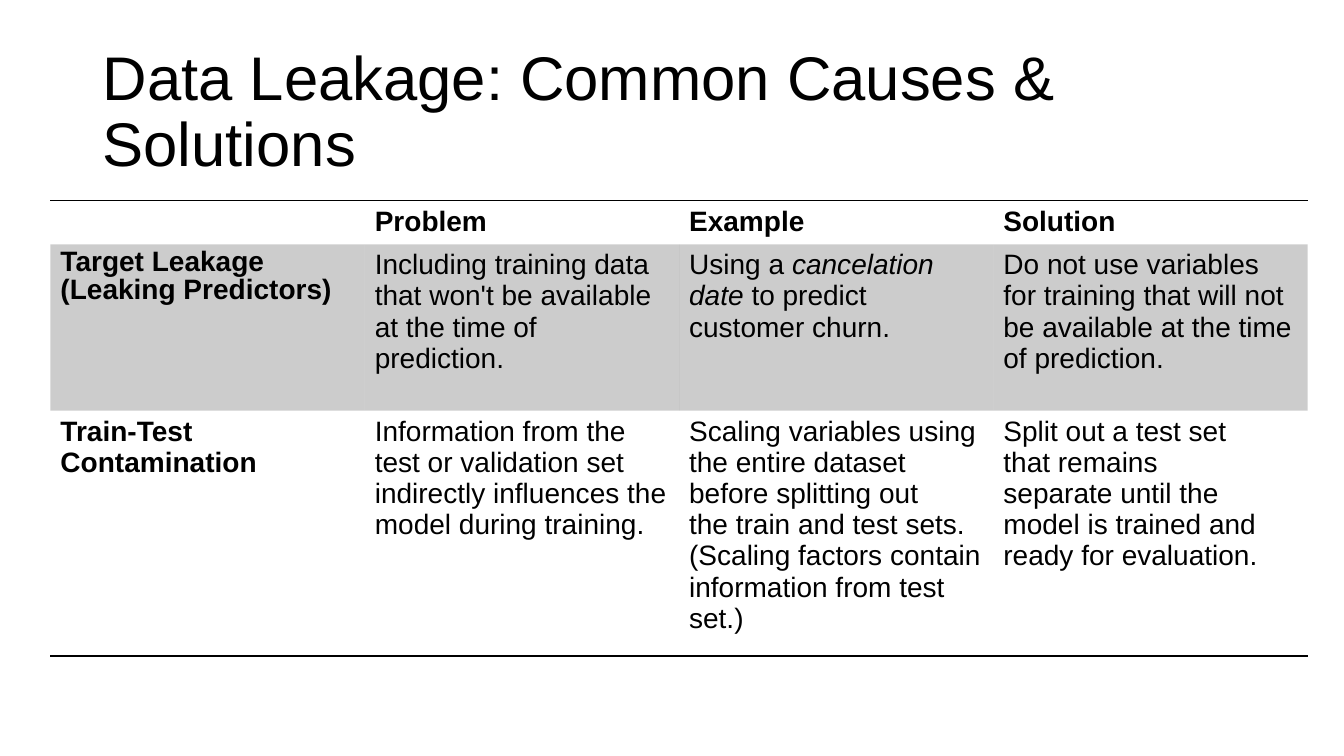
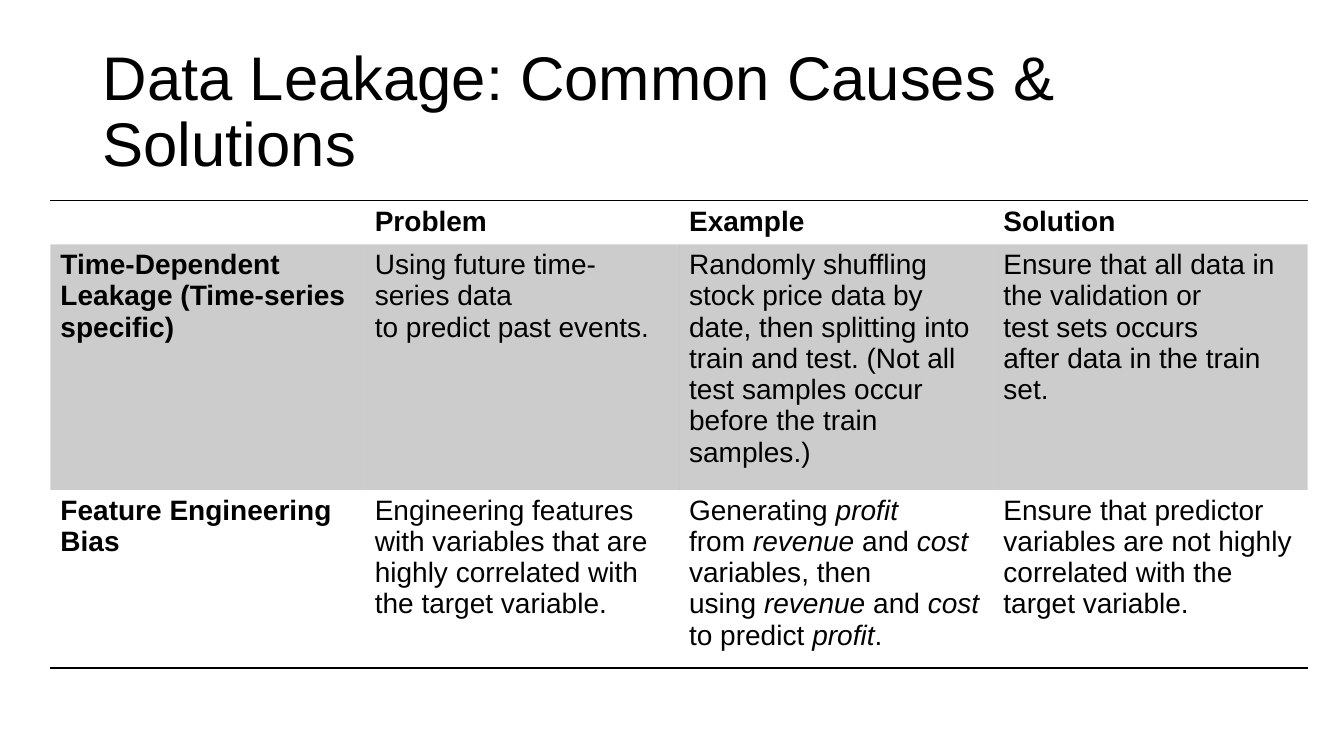
"""Build two slides on the common causes of data leakage and their solutions."""
from dataclasses import dataclass

from lxml import etree
from pptx import Presentation
from pptx import util as u
from pptx.dml import color
from pptx.enum import text as t
from pptx.oxml import ns

COLORS = {"ink": "000000", "paper": "FFFFFF"}
FONT = "Arial"
TITLE = "Data~Leakage: Common~Causes~& Solutions"
HEADINGS = ("", "Problem", "Example", "Solution")
NO_STYLE_NO_GRID = "{2D5ABB26-0587-4C30-8999-92F81FD0307C}"
NO_BREAK_SPACE = chr(160)
HEADER_HEIGHT = 0.41
TABLE_WIDTH = 12.47
BAND_OPACITY = 20
RULE_WIDTH = 0.96


@dataclass(frozen=True)
class Cause:
    """One table row; asterisks enclose italics and tildes are no-break spaces."""

    name: str
    problem: str
    example: str
    solution: str
    height: float
    name_spacing: float | None = None


SLIDES = (
    (
        Cause(
            "Target~Leakage (Leaking Predictors)",
            "Including~training data that won't be available at the~time of prediction.",
            "Using a *cancelation date *to predict customer churn.",
            "Do not use variables for training that will not be available at~the time of prediction.",
            1.65,
            0.9,
        ),
        Cause(
            "Train-Test Contamination",
            "Information from the test or validation set indirectly influences the model during training.",
            "Scaling variables~using the entire dataset before~splitting out the~train and test sets. "
            "(Scaling factors contain information from test set.)",
            "Split out a test set that~remains~\nseparate until the model is trained and ready for evaluation.",
            2.27,
        ),
    ),
    (
        Cause(
            "Time-Dependent Leakage (Time-series specific)",
            "Using~future time-series data to~predict~past events.",
            "Randomly shuffling stock price data by date, then splitting into train and test. "
            "(Not all test samples occur before the train samples.)~",
            "Ensure that all~data in the~validation~or test~sets occurs after~data in the train set.",
            2.27,
        ),
        Cause(
            "Feature Engineering Bias",
            "Engineering features with variables that are highly correlated with the target variable.",
            "Generating *profit* from~*revenue* and *cost* variables, then using~*revenue* and *cost* "
            "to predict *profit*.",
            "Ensure that~predictor variables are~not highly correlated with the target variable.",
            1.65,
        ),
    ),
)


def write_text(
    frame, content: str, size: float, bold: bool = False, spacing: float | None = None
) -> None:
    """Fill a text frame, one paragraph per line, with marked italics."""
    frame.word_wrap = True
    for index, line in enumerate(content.replace("~", NO_BREAK_SPACE).split("\n")):
        paragraph = frame.paragraphs[0] if index == 0 else frame.add_paragraph()
        paragraph.line_spacing = spacing
        font = paragraph.font
        font.name, font.size, font.bold = FONT, u.Pt(size), bold
        font.color.rgb = color.RGBColor.from_string(COLORS["ink"])
        for position, part in enumerate(line.split("*")):
            if part:
                run = paragraph.add_run()
                run.text = part
                run.font.name = FONT
                if position % 2:
                    run.font.italic = True


def add_title(slide) -> None:
    """Add the shared slide title."""
    box = slide.shapes.add_textbox(u.Inches(0.92), u.Inches(0.4), u.Inches(11.5), u.Inches(1.45))
    box.text_frame.vertical_anchor = t.MSO_ANCHOR.MIDDLE
    write_text(box.text_frame, TITLE, 44, spacing=0.9)


def shade(cell) -> None:
    """Give a cell the translucent band fill."""
    cell.fill.solid()
    cell.fill.fore_color.rgb = color.RGBColor.from_string(COLORS["ink"])
    for tint in cell._tc.get_or_add_tcPr().iter(ns.qn("a:srgbClr")):
        etree.SubElement(tint, ns.qn("a:alpha"), val=str(BAND_OPACITY * 1000))


def add_rule(cell, edge: str) -> None:
    """Draw a thin rule on one edge of a cell."""
    line = etree.Element(ns.qn(f"a:{edge}"), w=str(u.Pt(RULE_WIDTH)))
    fill = etree.SubElement(line, ns.qn("a:solidFill"))
    etree.SubElement(fill, ns.qn("a:srgbClr"), val=COLORS["ink"])
    cell._tc.get_or_add_tcPr().insert(0, line)


def add_causes_table(slide, causes: tuple[Cause, ...]) -> None:
    """Add the table of causes with a heading row and a shaded first cause."""
    heights = [HEADER_HEIGHT, *(cause.height for cause in causes)]
    rows = [HEADINGS, *((c.name, c.problem, c.example, c.solution) for c in causes)]
    frame = slide.shapes.add_table(
        len(rows), len(HEADINGS), u.Inches(0.5), u.Inches(1.99),
        u.Inches(TABLE_WIDTH), u.Inches(sum(heights)),
    )
    table = frame.table
    table.first_row = table.horz_banding = False
    for style in frame.element.iter(ns.qn("a:tableStyleId")):
        style.text = NO_STYLE_NO_GRID
    for row, (height, contents) in enumerate(zip(heights, rows)):
        table.rows[row].height = u.Inches(height)
        for column, content in enumerate(contents):
            cell = table.cell(row, column)
            if content:
                spacing = causes[row - 1].name_spacing if row and column == 0 else None
                write_text(cell.text_frame, content, 20, row == 0 or column == 0, spacing)
            if row == 1:
                shade(cell)
            else:
                cell.fill.background()
                add_rule(cell, "lnB" if row else "lnT")


def main() -> None:
    """Build and save the presentation."""
    presentation = Presentation()
    presentation.slide_width, presentation.slide_height = u.Inches(13.33), u.Inches(7.5)
    for causes in SLIDES:
        slide = presentation.slides.add_slide(presentation.slide_layouts[6])
        slide.background.fill.solid()
        slide.background.fill.fore_color.rgb = color.RGBColor.from_string(COLORS["paper"])
        add_title(slide)
        add_causes_table(slide, causes)
    presentation.save("out.pptx")


if __name__ == "__main__":
    main()
